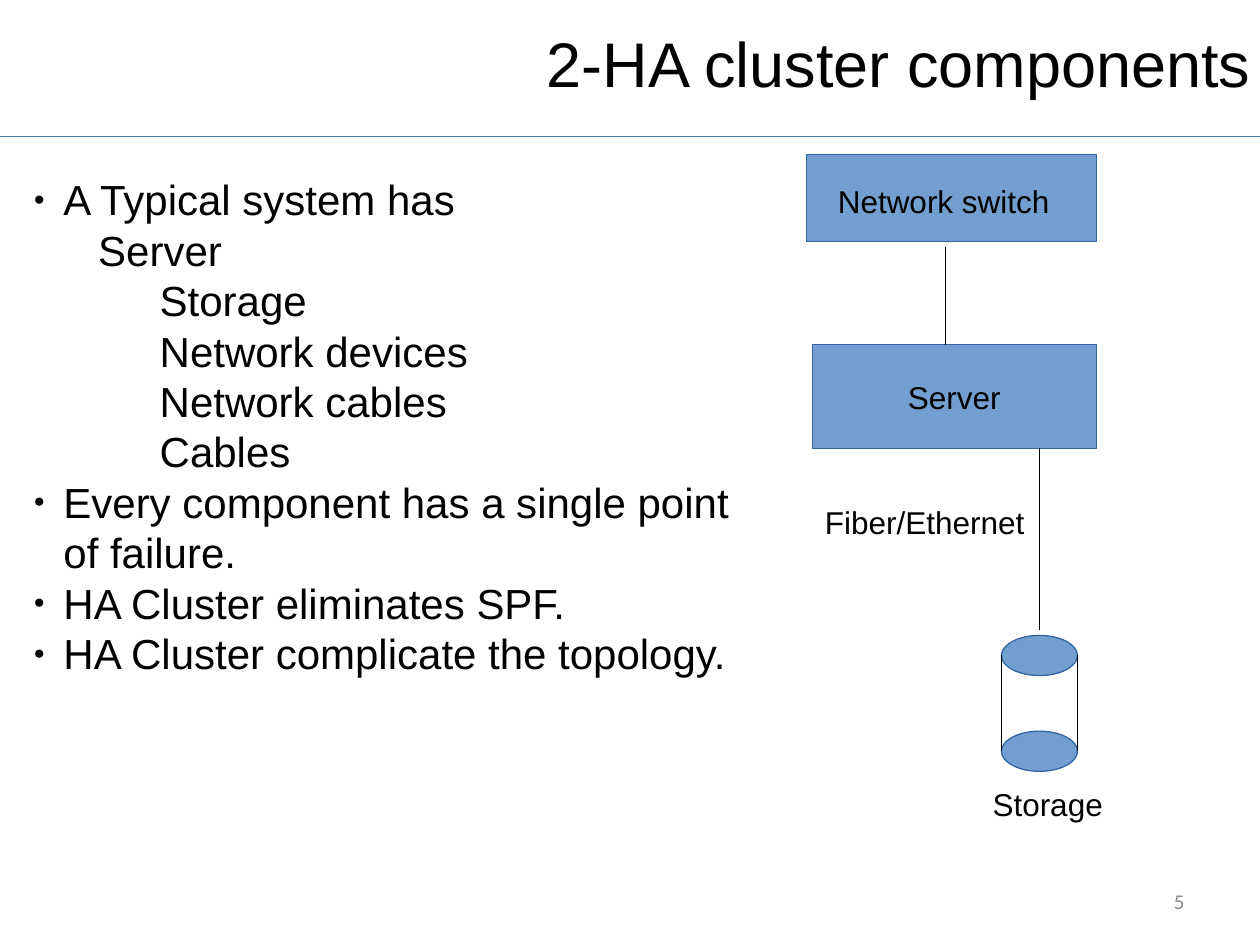
import pptx
import pptx.util
import pptx.dml.color
import pptx.enum.shapes
import pptx.enum.text
import lxml.etree
from pptx.oxml.ns import qn

Cm = pptx.util.Cm
Pt = pptx.util.Pt
Kind = pptx.enum.shapes.MSO_SHAPE
Align = pptx.enum.text.PP_ALIGN
Anchor = pptx.enum.text.MSO_ANCHOR

HUES = {"ink": "000000", "rule": "4A7EBB", "fill": "729FCF",
        "edge": "3465A4", "grey": "8B8B8B"}

ITEMS = [
    ("A Typical system has", 0),
    ("Server", 1.3),
    ("Storage", 2.54),
    ("Network devices", 2.54),
    ("Network cables", 2.54),
    ("Cables", 2.54),
    ("Every component has a single point of failure.", 0),
    ("HA Cluster eliminates SPF.", 0),
    ("HA Cluster complicate the topology.", 0),
]


def tint(name):
    return pptx.dml.color.RGBColor.from_string(HUES[name])


def write(para, text, size=18, font="Arial", hue="ink", align=Align.LEFT):
    run = para.add_run()
    run.text = text
    run.font.size = Pt(size)
    run.font.name = font
    run.font.color.rgb = tint(hue)
    para.alignment = align


def frame(slide, x, y, wide, high, anchor=Anchor.TOP):
    area = slide.shapes.add_textbox(Cm(x), Cm(y), Cm(wide), Cm(high)).text_frame
    area.word_wrap = True
    area.vertical_anchor = anchor
    return area


def label(slide, text, x, y, wide, high, **style):
    write(frame(slide, x, y, wide, high).paragraphs[0], text, **style)


def line(slide, x1, y1, x2, y2, hue="ink"):
    link = slide.shapes.add_connector(
        pptx.enum.shapes.MSO_CONNECTOR.STRAIGHT, Cm(x1), Cm(y1), Cm(x2), Cm(y2))
    link.line.color.rgb = tint(hue)
    link.line.width = Pt(0.75)
    lxml.etree.SubElement(link._element.spPr, qn("a:effectLst"))


def block(slide, kind, x, y, wide, high):
    shape = slide.shapes.add_shape(kind, Cm(x), Cm(y), Cm(wide), Cm(high))
    shape.shadow.inherit = False
    shape.fill.solid()
    shape.fill.fore_color.rgb = tint("fill")
    shape.line.color.rgb = tint("edge")
    shape.line.width = Pt(0.75)
    return shape


def dot(para):
    props = para._p.get_or_add_pPr()
    props.set("marL", str(Cm(0.6)))
    props.set("indent", str(-Cm(0.6)))
    shade = lxml.etree.SubElement(props, qn("a:buClr"))
    lxml.etree.SubElement(shade, qn("a:srgbClr"), val=HUES["ink"])
    lxml.etree.SubElement(props, qn("a:buSzPct"), val="45000")
    lxml.etree.SubElement(props, qn("a:buFont"), typeface="Arial")
    lxml.etree.SubElement(props, qn("a:buChar"), char="●")


def header(slide, x, y, wide, high):
    line(slide, x, y + high, x + wide, y + high, "rule")
    area = frame(slide, x + 10.77, y + 0.36, wide - 10.77, 2.08)
    area.margin_right = 0
    write(area.paragraphs[0], "2-HA cluster components", size=36)


def bullets(slide, x, y, wide, high):
    area = frame(slide, x, y, wide, high)
    for index, (text, inset) in enumerate(ITEMS):
        para = area.add_paragraph() if index else area.paragraphs[0]
        write(para, text, size=24)
        if inset:
            para._p.get_or_add_pPr().set("marL", str(Cm(inset)))
        else:
            dot(para)


def disk(slide, x, y, wide, high):
    cap = 0.81
    for top in (y, y + high - cap):
        block(slide, Kind.OVAL, x, top, wide, cap)
    for side in (x, x + wide):
        line(slide, side, y + cap / 2, side, y + high - cap / 2)


def diagram(slide, x, y):
    block(slide, Kind.RECTANGLE, x, y, 5.84, 1.75)
    label(slide, "Network switch", x + 0.38, y + 0.43, 4.95, 1)
    server = block(slide, Kind.RECTANGLE, x + 0.12, y + 3.83, 5.72, 2.09)
    server.text_frame.vertical_anchor = Anchor.MIDDLE
    write(server.text_frame.paragraphs[0], "Server", align=Align.CENTER)
    line(slide, x + 2.8, y + 1.86, x + 2.8, y + 3.83)
    for top, base in ((5.92, 8.64), (8.59, 9.59)):
        line(slide, x + 4.7, y + top, x + 4.7, y + base)
    label(slide, "Fiber/Ethernet", x + 0.12, y + 6.9, 4.7, 1.2)
    disk(slide, x + 3.93, y + 9.69, 1.53, 2.74)
    label(slide, "Storage", x + 3.5, y + 12.58, 3.3, 1)


def footer(slide, x, y, wide, high):
    area = frame(slide, x, y, wide, high, Anchor.MIDDLE)
    write(area.paragraphs[0], "5", size=12, font="Calibri", hue="grey",
          align=Align.RIGHT)


def main():
    deck = pptx.Presentation()
    deck.slide_width, deck.slide_height = Cm(25.4), Cm(19.05)
    slide = deck.slides.add_slide(deck.slide_layouts[6])
    header(slide, 0, 0, 25.4, 2.75)
    bullets(slide, 0.43, 3.38, 15, 15.2)
    diagram(slide, 16.26, 3.12)
    footer(slide, 18.21, 17.65, 5.92, 1.02)
    deck.save("out.pptx")


if __name__ == "__main__":
    main()
